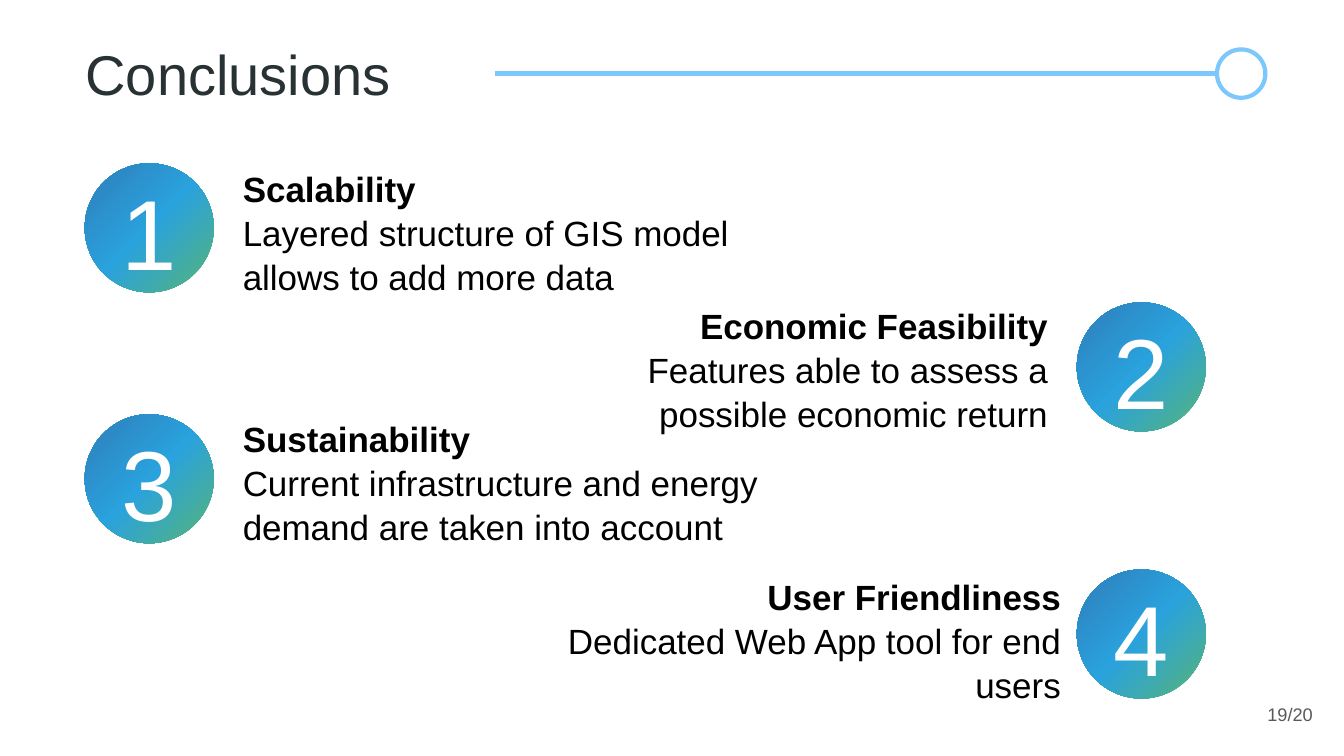
from lxml import etree
from pptx import Presentation
from pptx.dml.color import RGBColor
from pptx.enum.shapes import MSO_CONNECTOR, MSO_SHAPE
from pptx.enum.text import MSO_ANCHOR, PP_ALIGN
from pptx.oxml import parse_xml
from pptx.oxml.ns import qn
from pptx.util import Inches, Pt

OVAL = MSO_SHAPE.OVAL
LINE = MSO_CONNECTOR.STRAIGHT
TOP, MIDDLE = MSO_ANCHOR.TOP, MSO_ANCHOR.MIDDLE
LEFT, CENTER, RIGHT = PP_ALIGN.LEFT, PP_ALIGN.CENTER, PP_ALIGN.RIGHT

TITLE = "Conclusions"
PAGE = "19/20"
POINTS = [
    ("Scalability", "Layered structure of GIS model allows to add more data",
     (0.84, 1.62), (2.31, 1.54), LEFT),
    ("Economic Feasibility", "Features able to assess a possible economic return",
     (10.68, 3), (5.03, 2.9), RIGHT),
    ("Sustainability", "Current infrastructure and energy demand are taken into account",
     (0.84, 4.11), (2.31, 4.02), LEFT),
    ("User Friendliness", "Dedicated Web App tool for end users",
     (10.68, 5.65), (5.16, 5.59), RIGHT),
]
COLORS = {"title": "283134", "rule": "7CC7FB", "body": "000000",
          "digit": "FFFFFF", "page": "595959"}
STOPS = [(0, "2E7DBA"), (50, "2AA2DD"), (100, "57B478")]
FONT = "Arial"
BALL, WIDE, HIGH = 1.28, 5.46, 1.21
RING, RULE_X, RULE_Y, RING_X = 0.48, 4.91, 0.73, 12.07


def color(name):
    return RGBColor.from_string(COLORS[name])


def write(shape, lines, size, tint, align=LEFT, anchor=TOP, pad=(0.1, 0.1), gap=None):
    frame = shape.text_frame
    frame.word_wrap = True
    frame.vertical_anchor = anchor
    frame.margin_left = frame.margin_right = Inches(pad[0])
    frame.margin_top = frame.margin_bottom = Inches(pad[1])
    frame.text = "\n".join(lines)
    for i, para in enumerate(frame.paragraphs):
        para.alignment = align
        para.line_spacing = gap
        font = para.runs[0].font
        font.name, font.size = FONT, Pt(size)
        font.bold = len(lines) > 1 and i == 0
        font.color.rgb = color(tint)


def add_box(slide, x, y, w, h):
    return slide.shapes.add_textbox(Inches(x), Inches(y), Inches(w), Inches(h))


def add_oval(slide, x, y, size):
    oval = slide.shapes.add_shape(OVAL, Inches(x), Inches(y), Inches(size), Inches(size))
    oval.shadow.inherit = False
    return oval


def shade(shape):
    stops = "".join(f'<a:gs pos="{at * 1000}"><a:srgbClr val="{tint}"/></a:gs>'
                    for at, tint in STOPS)
    grad = parse_xml(
        '<a:gradFill xmlns:a="http://schemas.openxmlformats.org/drawingml/2006/main">'
        f'<a:gsLst>{stops}</a:gsLst><a:path path="circle">'
        '<a:fillToRect r="100000" b="100000"/></a:path></a:gradFill>')
    shape._element.spPr.find(qn("a:prstGeom")).addnext(grad)


def add_rule(slide):
    rule = slide.shapes.add_connector(LINE, Inches(RULE_X), Inches(RULE_Y),
                                      Inches(RING_X), Inches(RULE_Y))
    ring = add_oval(slide, RING_X, RULE_Y - RING / 2, RING)
    ring.fill.background()
    for part in (rule, ring):
        part.line.color.rgb = color("rule")
        part.line.width = Pt(3)
    etree.SubElement(rule._element.spPr, qn("a:effectLst"))


def main():
    deck = Presentation()
    deck.slide_width, deck.slide_height = Inches(13.33), Inches(7.5)
    slide = deck.slides.add_slide(deck.slide_layouts[6])
    add_rule(slide)
    write(add_box(slide, 0.75, 0.34, WIDE, 0.77), [TITLE], 40, "title", pad=(0.1, 0.05))
    for num, (head, body, ball_at, text_at, align) in enumerate(POINTS, 1):
        ball = add_oval(slide, *ball_at, BALL)
        shade(ball)
        ball.line.fill.background()
        write(ball, [str(num)], 71, "digit", CENTER, MIDDLE, gap=1.05)
        write(add_box(slide, *text_at, WIDE, HIGH), [head, body], 25, "body", align, gap=1.05)
    write(add_box(slide, 12.35, 6.8, 0.8, 0.57), [PAGE], 13, "page", RIGHT, MIDDLE,
          pad=(0.13, 0.13))
    deck.save("out.pptx")


if __name__ == "__main__":
    main()
